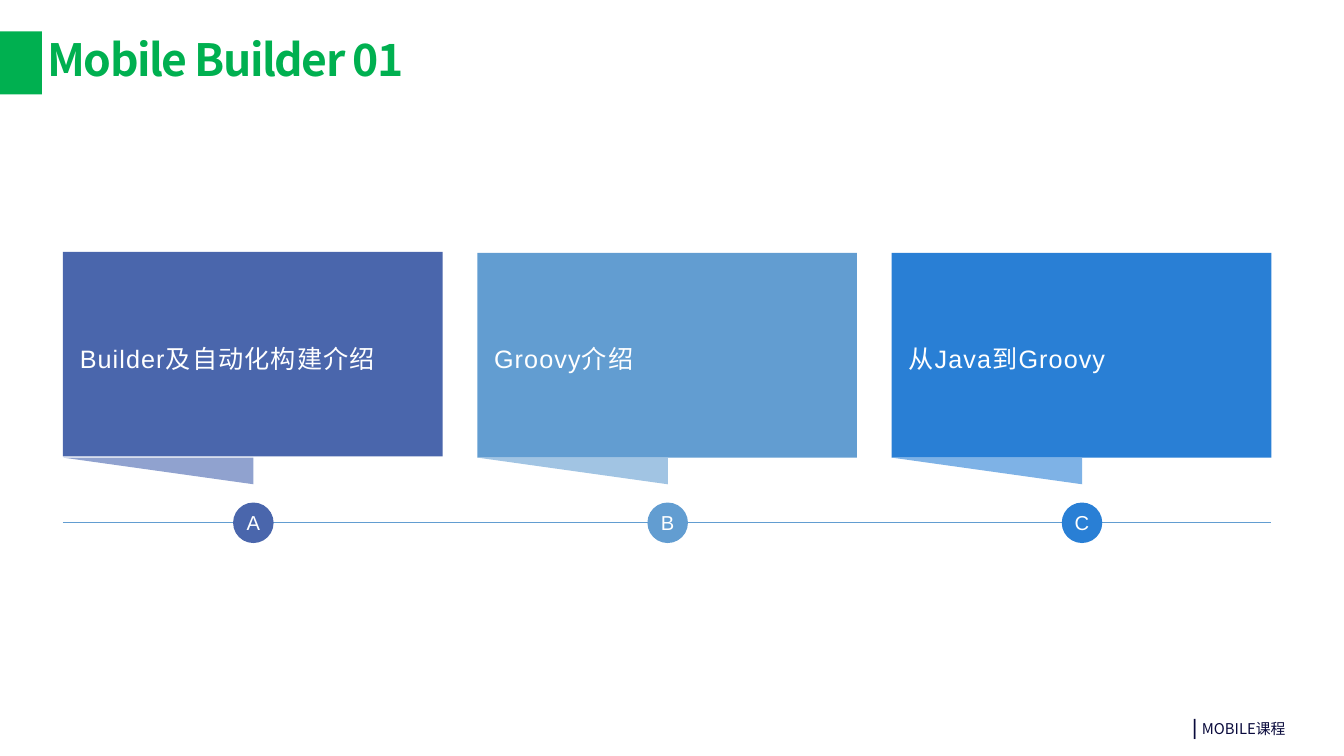
from pptx import Presentation
from pptx.dml.color import RGBColor
from pptx.enum.shapes import MSO_CONNECTOR, MSO_SHAPE
from pptx.enum.text import MSO_ANCHOR, PP_ALIGN
from pptx.oxml.ns import qn
from pptx.util import Cm, Pt
from lxml.etree import SubElement

COLORS = {
    "green": "00B050", "navy": "090A3C", "white": "FFFFFF", "line": "629DD1",
    "indigo": "4A66AC", "indigo_fold": "90A2CF",
    "sky": "629DD1", "sky_fold": "A1C4E3",
    "blue": "297FD5", "blue_fold": "7EB2E6",
}
CJK_FONT = "Noto Sans CJK SC"


def add_run(paragraph, text, size, color, font="Arial", bold=False, spacing=0):
    run = paragraph.add_run()
    run.text = text
    run.font.size = Pt(size)
    run.font.bold = bold
    run.font.name = font
    run.font.color.rgb = RGBColor.from_string(COLORS[color])
    properties = run._r.get_or_add_rPr()
    SubElement(properties, qn("a:ea")).set("typeface", CJK_FONT)
    properties.set("spc", str(int(spacing * 100)))


def add_filled(kind, left, top, width, height, color):
    shape = slide.shapes.add_shape(kind, Cm(left), Cm(top), Cm(width), Cm(height))
    shape.shadow.inherit = False
    shape.fill.solid()
    shape.fill.fore_color.rgb = RGBColor.from_string(COLORS[color])
    shape.line.fill.background()
    return shape


presentation = Presentation()
presentation.slide_width, presentation.slide_height = Cm(64), Cm(36)
slide = presentation.slides.add_slide(presentation.slide_layouts[5])

add_filled(MSO_SHAPE.RECTANGLE, 0, 1.5, 2, 3, "green")

title = slide.shapes.title
title.left, title.top, title.width, title.height = Cm(2), Cm(1.45), Cm(60), Cm(3.05)
title.text_frame.vertical_anchor = MSO_ANCHOR.MIDDLE
paragraph = title.text_frame.paragraphs[0]
paragraph.alignment = PP_ALIGN.LEFT
paragraph.line_spacing = 0.9
add_run(paragraph, "Mobile Builder 01", 60, "green", CJK_FONT, True, -2)

footer = slide.shapes.add_textbox(Cm(56.54), Cm(34), Cm(6.15), Cm(1.27))
footer.text_frame.word_wrap = True
paragraph = footer.text_frame.paragraphs[0]
add_run(paragraph, "| ", 24, "navy", CJK_FONT, True)
add_run(paragraph, "MOBILE课程", 20, "navy", CJK_FONT)

timeline = slide.shapes.add_connector(
    MSO_CONNECTOR.STRAIGHT, Cm(3), Cm(24.87), Cm(60.54), Cm(24.87))
timeline.line.color.rgb = RGBColor.from_string(COLORS["line"])
timeline.line.width = Pt(2)
SubElement(timeline._element.spPr, qn("a:effectLst"))

chapters = [
    ("A", "Builder及自动化构建介绍", "indigo", 11.99),
    ("B", "Groovy介绍", "sky", 12.04),
    ("C", "从Java到Groovy", "blue", 12.04),
]
for index, (letter, topic, color, top) in enumerate(chapters):
    left = 3 + index * 19.73
    add_filled(MSO_SHAPE.RECTANGLE, left, top, 18.08, 9.75, color)

    fold = add_filled(MSO_SHAPE.ISOSCELES_TRIANGLE, left, 21.79, 9.07, 1.27, color + "_fold")
    fold.adjustments[0] = 0
    fold.rotation = 180

    label = slide.shapes.add_textbox(Cm(left + 0.55), Cm(13.36), Cm(17.58), Cm(7.11))
    label.text_frame.word_wrap = True
    label.text_frame.vertical_anchor = MSO_ANCHOR.MIDDLE
    paragraph = label.text_frame.paragraphs[0]
    paragraph.line_spacing = 1.2
    add_run(paragraph, topic, 34, "white", spacing=1.5)

    marker = add_filled(MSO_SHAPE.OVAL, left + 8.1, 23.93, 1.93, 1.93, color)
    frame = marker.text_frame
    frame.margin_left = frame.margin_right = frame.margin_top = frame.margin_bottom = 0
    frame.vertical_anchor = MSO_ANCHOR.MIDDLE
    paragraph = frame.paragraphs[0]
    paragraph.alignment = PP_ALIGN.CENTER
    add_run(paragraph, letter, 27.2, "white")

presentation.save("out.pptx")
